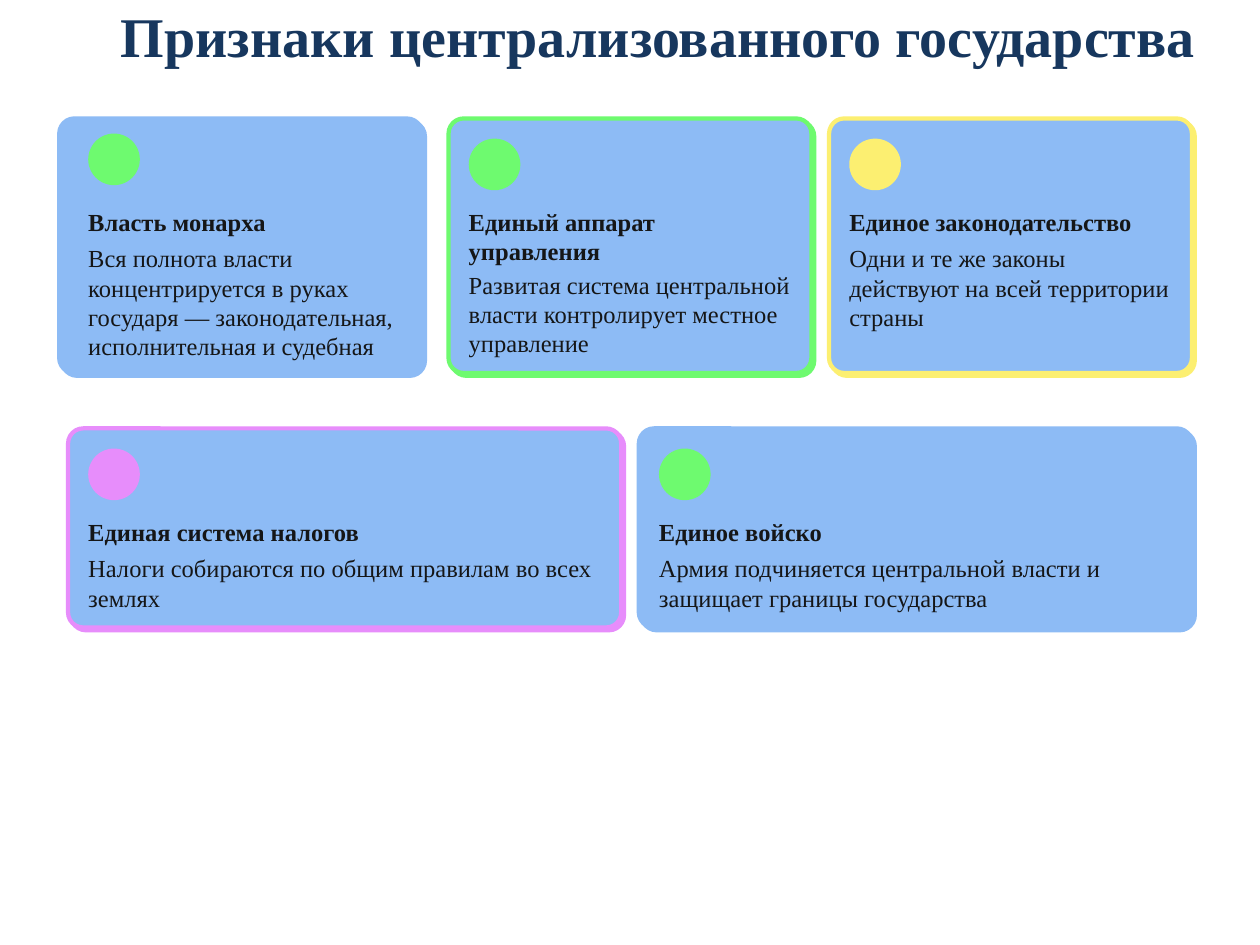
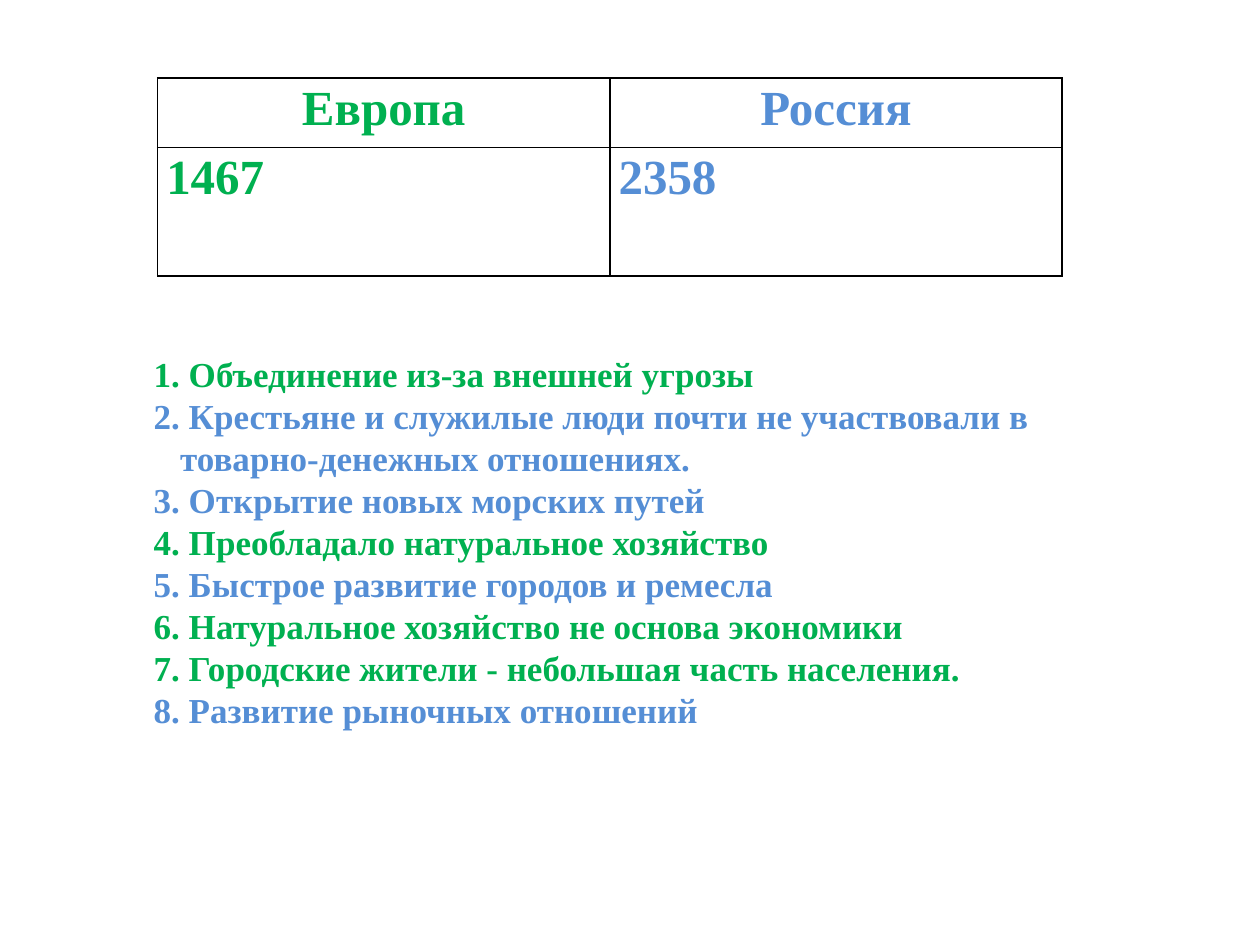
"""Build two slides on the centralized state: a grid of feature cards and a comparison of Europe and Russia."""
from dataclasses import dataclass

from lxml import etree
from pptx import Presentation
from pptx.dml.color import RGBColor
from pptx.enum.shapes import MSO_SHAPE
from pptx.enum.text import MSO_ANCHOR, MSO_AUTO_SIZE, PP_ALIGN
from pptx.oxml import parse_xml
from pptx.oxml.ns import nsdecls, qn
from pptx.util import Inches, Pt

ROUNDED, OVAL = MSO_SHAPE.ROUNDED_RECTANGLE, MSO_SHAPE.OVAL
TOP, MIDDLE = MSO_ANCHOR.TOP, MSO_ANCHOR.MIDDLE
LEFT, CENTER = PP_ALIGN.LEFT, PP_ALIGN.CENTER
FIXED_SIZE = MSO_AUTO_SIZE.NONE


@dataclass(frozen=True)
class Theme:
    font: str = "Times New Roman"
    navy: str = "17375E"
    ink: str = "151617"
    black: str = "000000"
    card: str = "8DBBF5"
    lime: str = "6EFA6F"
    yellow: str = "FCEF71"
    violet: str = "E78DFB"
    europe: str = "00B050"
    russia: str = "558ED5"
    title_size: int = 32
    table_size: int = 28
    list_size: int = 20
    card_size: int = 14


THEME = Theme()


def style(paragraph, size, color, bold=True, align=LEFT):
    paragraph.alignment = align
    paragraph.font.name = THEME.font
    paragraph.font.size = Pt(size)
    paragraph.font.bold = bold
    paragraph.font.color.rgb = RGBColor.from_string(color)


def place(item, left, top, width, height):
    item.left, item.top = Inches(left), Inches(top)
    item.width, item.height = Inches(width), Inches(height)


prs = Presentation()
prs.slide_width, prs.slide_height = Inches(10), Inches(7.5)
title_layout, content_layout = prs.slide_layouts[5], prs.slide_layouts[1]

features = prs.slides.add_slide(title_layout)
heading = features.shapes.title
place(heading, 0.86, 0.16, 8.81, 0.46)
heading.text_frame.text = "Признаки централизованного государства"
heading.text_frame.auto_size = FIXED_SIZE
heading.text_frame.word_wrap = False
heading.text_frame.vertical_anchor = TOP
heading.text_frame.paragraphs[0].line_spacing = Pt(24.4)
style(heading.text_frame.paragraphs[0], THEME.title_size, THEME.navy)

GRID_LEFT, GRID_WIDTH, GAP, PAD = 0.54, 8.92, 0.14, 0.16
DOT, CORNER = 0.41, 0.12
NAME_DROP, DETAIL_DROP, NAME_LINE = 0.7, 0.99, 0.21
FIRST_CARD_OUTSET, FIRST_DOT_RISE = 0.07, 0.04

card_rows = [
    (0.94, 2.02, [
        ("Власть монарха",
         "Вся полнота власти концентрируется в руках государя — законодательная, исполнительная и судебная",
         THEME.card, THEME.lime, 1),
        ("Единый аппарат управления",
         "Развитая система центральной власти контролирует местное управление",
         THEME.lime, THEME.lime, 2),
        ("Единое законодательство",
         "Одни и те же законы действуют на всей территории страны",
         THEME.yellow, THEME.yellow, 1),
    ]),
    (3.4, 1.58, [
        ("Единая система налогов",
         "Налоги собираются по общим правилам во всех землях",
         THEME.violet, THEME.violet, 1),
        ("Единое войско",
         "Армия подчиняется центральной власти и защищает границы государства",
         THEME.card, THEME.lime, 1),
    ]),
]

for row, (top, height, cards) in enumerate(card_rows):
    width = (GRID_WIDTH - GAP * (len(cards) - 1)) / len(cards)
    for column, (name, detail, edge, dot_color, name_lines) in enumerate(cards):
        left = GRID_LEFT + column * (width + GAP)
        is_first = row == column == 0
        outset, rise = (FIRST_CARD_OUTSET, FIRST_DOT_RISE) if is_first else (0, 0)

        card = features.shapes.add_shape(
            ROUNDED, Inches(left - outset), Inches(top), Inches(width), Inches(height))
        card.adjustments[0] = CORNER / height
        card.fill.solid()
        card.fill.fore_color.rgb = RGBColor.from_string(THEME.card)
        card.line.color.rgb = RGBColor.from_string(edge)
        card.line.width = Pt(2.4)
        card.shadow.inherit = False
        card._element.spPr.find(qn("a:effectLst")).append(parse_xml(
            f'<a:outerShdw {nsdecls("a")} blurRad="0" dist="{Pt(2.3)}" dir="2700000" '
            f'algn="tl" rotWithShape="0"><a:srgbClr val="{edge}"/></a:outerShdw>'))

        dot = features.shapes.add_shape(
            OVAL, Inches(left + PAD), Inches(top + PAD - rise), Inches(DOT), Inches(DOT))
        dot.fill.solid()
        dot.fill.fore_color.rgb = RGBColor.from_string(dot_color)
        dot.line.fill.background()
        dot.shadow.inherit = False

        detail_drop = DETAIL_DROP + (name_lines - 1) * NAME_LINE
        texts = [
            (name, NAME_DROP, width - 0.5, name_lines * NAME_LINE, True),
            (detail, detail_drop, width - 0.3, height - detail_drop - PAD, False),
        ]
        for text, drop, text_width, text_height, bold in texts:
            label = features.shapes.add_textbox(
                Inches(left + PAD), Inches(top + drop), Inches(text_width), Inches(text_height))
            frame = label.text_frame
            frame.margin_left = frame.margin_right = frame.margin_top = frame.margin_bottom = 0
            frame.word_wrap = True
            frame.text = text
            style(frame.paragraphs[0], THEME.card_size, THEME.ink, bold)

comparison = prs.slides.add_slide(content_layout)
unused_title = comparison.shapes.title._element
unused_title.getparent().remove(unused_title)

answers = [("Европа", "Россия"), ("1467", "2358")]
row_heights = [0.55, 1.02]
column_colors = [THEME.europe, THEME.russia]
answer_table = comparison.shapes.add_table(
    2, 2, Inches(1.25), Inches(0.62), Inches(7.18), Inches(sum(row_heights))).table
answer_table.first_row = answer_table.horz_banding = False

for row, values in enumerate(answers):
    answer_table.rows[row].height = Inches(row_heights[row])
    for column, value in enumerate(values):
        cell = answer_table.cell(row, column)
        cell.margin_left = cell.margin_right = Inches(0.07)
        cell.margin_top = cell.margin_bottom = 0
        cell.text = value
        paragraph = cell.text_frame.paragraphs[0]
        paragraph.line_spacing = 1.07
        style(paragraph, THEME.table_size, column_colors[column],
              align=CENTER if row == 0 else LEFT)
        properties = cell._tc.get_or_add_tcPr()
        for side in ("lnL", "lnR", "lnT", "lnB"):
            border = etree.SubElement(properties, qn(f"a:{side}"), w=str(Pt(1)))
            fill = etree.SubElement(border, qn("a:solidFill"))
            etree.SubElement(fill, qn("a:srgbClr"), val=THEME.black)
        cell.fill.background()

statements = [
    ("1. Объединение из-за внешней угрозы", THEME.europe),
    ("2. Крестьяне и служилые люди почти не участвовали в товарно-денежных отношениях.", THEME.russia),
    ("3. Открытие новых морских путей", THEME.russia),
    ("4. Преобладало натуральное хозяйство", THEME.europe),
    ("5. Быстрое развитие городов и ремесла", THEME.russia),
    ("6. Натуральное хозяйство не основа экономики", THEME.europe),
    ("7. Городские жители - небольшая часть населения.", THEME.europe),
    ("8. Развитие рыночных отношений", THEME.russia),
]
HANG = 0.21
statement_list = comparison.placeholders[1]
place(statement_list, 0.62, 2.73, 7.81, 3.13)
frame = statement_list.text_frame
frame.auto_size = FIXED_SIZE
frame.word_wrap = True
frame.vertical_anchor = MIDDLE
frame.text = "\n".join(text for text, _ in statements)
for paragraph, (_, color) in zip(frame.paragraphs, statements):
    properties = paragraph._p.get_or_add_pPr()
    properties.set("marL", str(Inches(0.5 + HANG)))
    properties.set("indent", str(-Inches(HANG)))
    etree.SubElement(properties, qn("a:buNone"))
    paragraph.space_before = Pt(0)
    style(paragraph, THEME.list_size, color)

prs.save("out.pptx")
